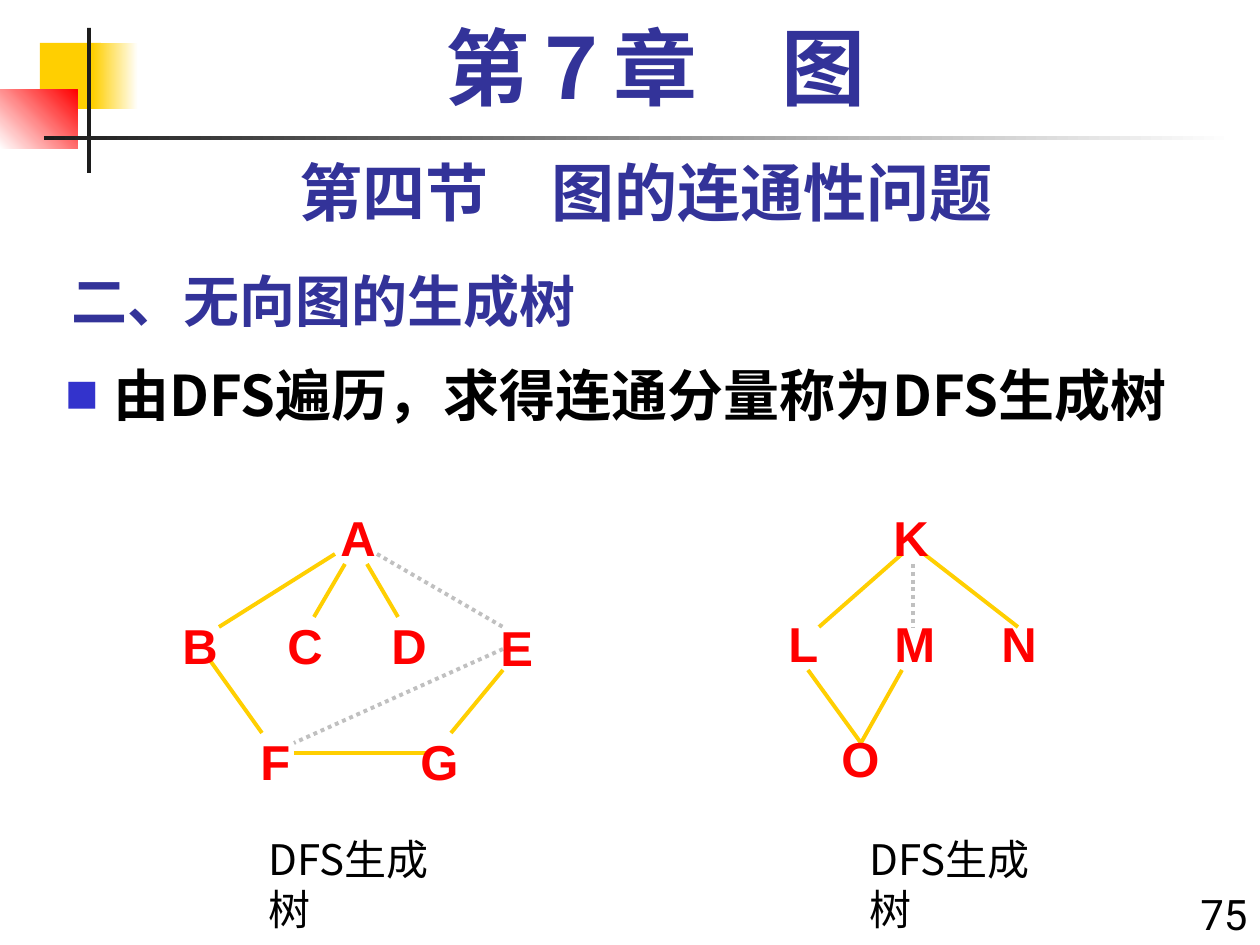
from lxml import etree
from pptx import Presentation
from pptx.dml.color import RGBColor
from pptx.enum.dml import MSO_LINE
from pptx.enum.shapes import MSO_CONNECTOR, MSO_SHAPE
from pptx.enum.text import MSO_ANCHOR, PP_ALIGN
from pptx.oxml.ns import qn
from pptx.util import Pt

SCALE = 914400 / 126
RECT = MSO_SHAPE.RECTANGLE
LINE = MSO_CONNECTOR.STRAIGHT
DOT = MSO_LINE.ROUND_DOT
LEFT, MID, RIGHT = PP_ALIGN.LEFT, PP_ALIGN.CENTER, PP_ALIGN.RIGHT
TOP, LOW = MSO_ANCHOR.TOP, MSO_ANCHOR.BOTTOM

GOLD = RGBColor(0xFF, 0xCF, 0x01)
AMBER = RGBColor(0xFF, 0xCC, 0x00)
RED = RGBColor(0xFF, 0x00, 0x00)
NAVY = RGBColor(0x33, 0x33, 0x99)
INK = RGBColor(0x1C, 0x1C, 0x1C)
GREY = RGBColor(0xC0, 0xC0, 0xC0)
BLACK = RGBColor(0x00, 0x00, 0x00)
WHITE = RGBColor(0xFF, 0xFF, 0xFF)
HAN = "Noto Sans CJK SC"


def px(n):
    return round(n * SCALE)


def text(slide, box, words, size, font, color, bold=False, align=LEFT,
         anchor=TOP, wrap=True):
    shape = slide.shapes.add_textbox(*map(px, box))
    frame = shape.text_frame
    frame.word_wrap = wrap
    frame.vertical_anchor = anchor
    para = frame.paragraphs[0]
    para.alignment = align
    run = para.add_run()
    run.text = words
    run.font.size = Pt(size)
    run.font.bold = bold
    run.font.color.rgb = color
    run.font.name = font
    east = etree.SubElement(run.font._element, qn("a:ea"))
    east.set("typeface", HAN)
    return para


def bullet(para, indent):
    props = para._p.get_or_add_pPr()
    props.set("marL", str(px(indent)))
    props.set("indent", str(-px(indent)))
    tint = etree.SubElement(props, qn("a:buClr"))
    etree.SubElement(tint, qn("a:srgbClr")).set("val", "3333CC")
    etree.SubElement(props, qn("a:buSzPct")).set("val", "60000")
    etree.SubElement(props, qn("a:buFont")).set("typeface", HAN)
    etree.SubElement(props, qn("a:buChar")).set("char", "■")


def block(slide, box, start, end=None, angle=0):
    shape = slide.shapes.add_shape(RECT, *map(px, box))
    shape.shadow.inherit = False
    shape.line.fill.background()
    if end is None:
        shape.fill.solid()
        shape.fill.fore_color.rgb = start
        return
    shape.fill.gradient()
    shape.fill.gradient_angle = angle
    for stop, color, place in zip(shape.fill.gradient_stops, (start, end), (0, 1)):
        stop.color.rgb = color
        stop.position = place


def edge(slide, ends, color, dash=None):
    line = slide.shapes.add_connector(LINE, *map(px, ends))
    line.line.color.rgb = color
    line.line.width = Pt(2.25)
    if dash:
        line.line.dash_style = dash
    etree.SubElement(line._element.spPr, qn("a:effectLst"))


def decor(slide, x, y):
    """Coloured squares and crossing bars in the top corner."""
    block(slide, (x + 40, y + 15, 61, 66), GOLD)
    block(slide, (x + 93, y + 15, 45, 66), GOLD, WHITE)
    block(slide, (x, y + 62, 78, 59), WHITE, RED, 45)
    block(slide, (x + 87, y, 4, 145), INK)
    block(slide, (x + 44, y + 108, 1191, 4), INK, WHITE)


def heads(slide, x, y):
    """Chapter, section and topic headings."""
    para = text(slide, (x + 25, y, 1144, 105), "第７章　图", 48,
                "Times New Roman", NAVY, True, MID)
    para.line_spacing = 0.9
    text(slide, (x + 4, y + 126, 1166, 88), "第四节　图的连通性问题", 36,
         "Roboto", NAVY, True, MID)
    text(slide, (x, y + 225, 1040, 94), "二、无向图的生成树", 32,
         HAN, NAVY, True, anchor=LOW)


def body(slide, box):
    para = text(slide, box, "由DFS遍历，求得连通分量称为DFS生成树", 32, HAN, BLACK, True)
    bullet(para, 48)


def tree(slide, x, y, nodes, solid, dots, note):
    """Edges first, then node letters, then the caption."""
    for ends in dots + solid:
        a, b, c, d = ends[:4]
        color = GREY if ends in dots else (ends[4] if len(ends) > 4 else GOLD)
        edge(slide, (x + a, y + b, x + c, y + d), color,
             DOT if ends in dots else None)
    for name, left, top, wide in nodes:
        text(slide, (x + left, y + top, wide, 72), name, 28, "Arial", RED,
             True, wrap=False)
    text(slide, (x + note, y + 326, 214, 63), "DFS生成树", 24, HAN, BLACK)


# Node: letter, left, top, width. Edge: x1, y1, x2, y2, optional colour.
FIRST = dict(
    nodes=[("A", 158, 0, 60), ("B", 0, 108, 60), ("C", 105, 108, 60),
           ("D", 209, 108, 60), ("E", 318, 110, 58), ("F", 78, 224, 55),
           ("G", 238, 224, 63)],
    solid=[(165, 53, 49, 126), (175, 63, 144, 116), (197, 63, 228, 116),
           (39, 158, 92, 232), (333, 169, 281, 232), (124, 252, 260, 252)],
    dots=[(207, 53, 333, 126), (333, 148, 124, 242)],
    note=86)
SECOND = dict(
    nodes=[("K", 105, 0, 60), ("L", 0, 106, 55), ("M", 106, 106, 67),
           ("N", 213, 106, 60), ("O", 53, 221, 63)],
    solid=[(126, 53, 43, 126), (148, 53, 242, 126), (32, 169, 85, 242),
           (126, 169, 85, 242, AMBER)],
    dots=[(137, 63, 137, 126)],
    note=81)


def main():
    deck = Presentation()
    deck.slide_width, deck.slide_height = px(1260), px(945)
    slide = deck.slides.add_slide(deck.slide_layouts[6])
    decor(slide, 0, 28)
    heads(slide, 59, 21)
    body(slide, (53, 354, 1207, 557))
    tree(slide, 170, 501, **FIRST)
    tree(slide, 776, 501, **SECOND)
    # Page number
    text(slide, (1176, 882, 84, 63), "75", 24, "Roboto", BLACK, align=RIGHT)
    deck.save("out.pptx")


if __name__ == "__main__":
    main()
